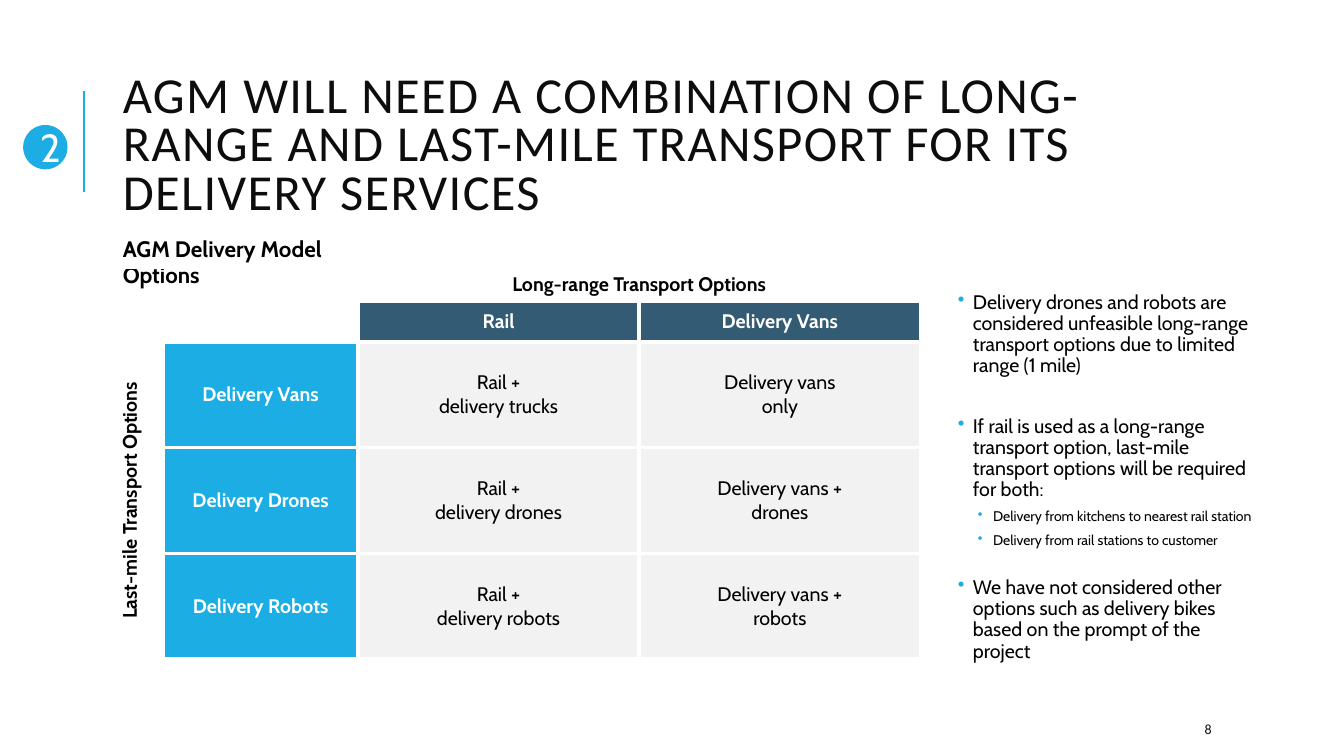
from dataclasses import dataclass

from lxml.etree import SubElement
from pptx import Presentation
from pptx.dml.color import RGBColor
from pptx.enum.shapes import MSO_CONNECTOR, MSO_SHAPE
from pptx.enum.text import MSO_ANCHOR, PP_ALIGN
from pptx.oxml.ns import qn
from pptx.util import Inches, Pt


@dataclass(frozen=True)
class Theme:
    blue: str = "1CADE4"
    navy: str = "335B74"
    gray: str = "F2F2F2"
    white: str = "FFFFFF"
    black: str = "000000"
    ink: str = "0D0D0D"
    head: str = "Calibri"
    body: str = "Cabin"
    title: int = 36
    badge: int = 28
    label: int = 16
    text: int = 14
    small: int = 10


THEME = Theme()
LONG = ["Rail", "Delivery Vans"]
LAST = ["Delivery Vans", "Delivery Drones", "Delivery Robots"]
MIXES = [
    ["Rail +\ndelivery trucks", "Delivery vans\nonly"],
    ["Rail +\ndelivery drones", "Delivery vans +\ndrones"],
    ["Rail +\ndelivery robots", "Delivery vans +\nrobots"],
]
# Text, level, space before in points
NOTES = [
    ("Delivery drones and robots are considered unfeasible long-range "
     "transport options due to limited range (1 mile)", 0, 0),
    ("If rail is used as a long-range transport option, last-mile "
     "transport options will be required for both:", 0, 24),
    ("Delivery from kitchens to nearest rail station", 1, 2),
    ("Delivery from rail stations to customer", 1, 2),
    ("We have not considered other options such as delivery bikes "
     "based on the prompt of the project", 0, 17),
]


def rgb(color):
    return RGBColor.from_string(color)


def apply(item, **form):
    for name, value in form.items():
        setattr(item, name, value)


def style(par, size, color=THEME.black, face=THEME.body, bold=False):
    apply(par.font, size=Pt(size), name=face, bold=bold)
    par.font.color.rgb = rgb(color)


def add_text(slide, box, text, anchor=MSO_ANCHOR.TOP, **look):
    shape = slide.shapes.add_textbox(*map(Inches, box))
    frame = shape.text_frame
    apply(frame, word_wrap=True, vertical_anchor=anchor, text=text)
    style(frame.paragraphs[0], **look)
    return frame


def add_title(slide, text):
    frame = add_text(slide, (1.12, 0.64, 10.63, 1.64), text, MSO_ANCHOR.MIDDLE,
                     size=THEME.title, color=THEME.ink, face=THEME.head)
    par = frame.paragraphs[0]
    par.line_spacing = 0.8
    par.runs[0]._r.get_or_add_rPr().set("spc", "100")


def add_rule(slide):
    ends = map(Inches, (0.83, 1.9, 0.83, 0.9))
    rule = slide.shapes.add_connector(MSO_CONNECTOR.STRAIGHT, *ends)
    rule.line.color.rgb = rgb(THEME.blue)
    rule.line.width = Pt(1.5)
    SubElement(rule._element.spPr, qn("a:effectLst"))


def add_badge(slide, text):
    box = map(Inches, (0.23, 1.24, 0.44, 0.44))
    badge = slide.shapes.add_shape(MSO_SHAPE.OVAL, *box)
    badge.shadow.inherit = False
    badge.fill.solid()
    badge.fill.fore_color.rgb = rgb(THEME.blue)
    badge.line.fill.background()
    frame = badge.text_frame
    apply(frame, text=text, word_wrap=False, vertical_anchor=MSO_ANCHOR.MIDDLE,
          margin_left=Inches(0.1), margin_right=0, margin_top=0, margin_bottom=0)
    par = frame.paragraphs[0]
    par.alignment = PP_ALIGN.CENTER
    style(par, THEME.badge, THEME.white)


def clear(cell):
    """White borders and no fill."""
    props = cell._tc.get_or_add_tcPr()
    for side in "LRTB":
        line = SubElement(props, qn(f"a:ln{side}"), w=str(Pt(3)))
        fill = SubElement(line, qn("a:solidFill"))
        SubElement(fill, qn("a:srgbClr"), val=THEME.white)
    cell.fill.background()


def put(cell, text, fill=None, color=THEME.black, bold=True):
    apply(cell, text=text, vertical_anchor=MSO_ANCHOR.MIDDLE)
    if fill:
        cell.fill.solid()
        cell.fill.fore_color.rgb = rgb(fill)
    for par in cell.text_frame.paragraphs:
        par.alignment = PP_ALIGN.CENTER
        style(par, THEME.text, color, bold=bold)


def add_grid(slide):
    box = map(Inches, (1.12, 2.65, 8, 3.83))
    grid = slide.shapes.add_table(5, 4, *box).table
    apply(grid, first_row=False, horz_banding=False)
    for col, width in zip(grid.columns, (0.5, 1.93, 2.79, 2.79)):
        col.width = Inches(width)
    for row, height in zip(grid.rows, (0.34, 0.34, 1.05, 1.05, 1.05)):
        row.height = Inches(height)
    for cell in grid.iter_cells():
        clear(cell)

    # Merged headings
    grid.cell(0, 0).merge(grid.cell(1, 1))
    grid.cell(0, 2).merge(grid.cell(0, 3))
    grid.cell(2, 0).merge(grid.cell(4, 0))
    put(grid.cell(0, 2), "Long-range Transport Options")
    side = grid.cell(2, 0)
    put(side, "Last-mile Transport Options")
    side._tc.get_or_add_tcPr().set("vert", "vert270")

    # Options and their mixes
    for col, name in enumerate(LONG, 2):
        put(grid.cell(1, col), name, THEME.navy, THEME.white)
    for row, (name, mixes) in enumerate(zip(LAST, MIXES), 2):
        put(grid.cell(row, 1), name, THEME.blue, THEME.white)
        for col, mix in enumerate(mixes, 2):
            put(grid.cell(row, col), mix, THEME.gray, bold=False)


def add_bullet(par, level):
    props = par._p.get_or_add_pPr()
    props.set("marL", str(Inches(0.29 + 0.2 * level)))
    props.set("indent", str(Inches(-0.15)))
    tint = SubElement(props, qn("a:buClr"))
    SubElement(tint, qn("a:srgbClr"), val=THEME.blue)
    SubElement(props, qn("a:buChar"), char="•")


def add_notes(slide):
    box = map(Inches, (9.31, 2.99, 3.17, 3.49))
    frame = slide.shapes.add_textbox(*box).text_frame
    apply(frame, word_wrap=True, vertical_anchor=MSO_ANCHOR.MIDDLE,
          text="\n".join(note[0] for note in NOTES))
    for side in ("left", "right", "top", "bottom"):
        setattr(frame, f"margin_{side}", Inches(0.05))
    for par, (_, level, gap) in zip(frame.paragraphs, NOTES):
        add_bullet(par, level)
        apply(par, level=level, line_spacing=0.9,
              space_before=Pt(gap), space_after=Pt(4))
        style(par, THEME.small if level else THEME.text)


def main():
    deck = Presentation()
    apply(deck, slide_width=Inches(13.33), slide_height=Inches(7.5))
    slide = deck.slides.add_slide(deck.slide_layouts[6])

    # Heading
    add_rule(slide)
    add_title(slide, "AGM WILL NEED A COMBINATION OF LONG-RANGE AND LAST-MILE "
                     "TRANSPORT FOR ITS DELIVERY SERVICES")
    add_badge(slide, "2")

    # Options grid and notes
    add_text(slide, (1.12, 2.28, 2.96, 0.37), "AGM Delivery Model Options",
             size=THEME.label, bold=True)
    add_grid(slide)
    add_notes(slide)

    # Page number
    add_text(slide, (11.85, 7.08, 1.06, 0.3), "8", MSO_ANCHOR.MIDDLE,
             size=THEME.small, color=THEME.ink, face=THEME.head)
    deck.save("out.pptx")


if __name__ == "__main__":
    main()
